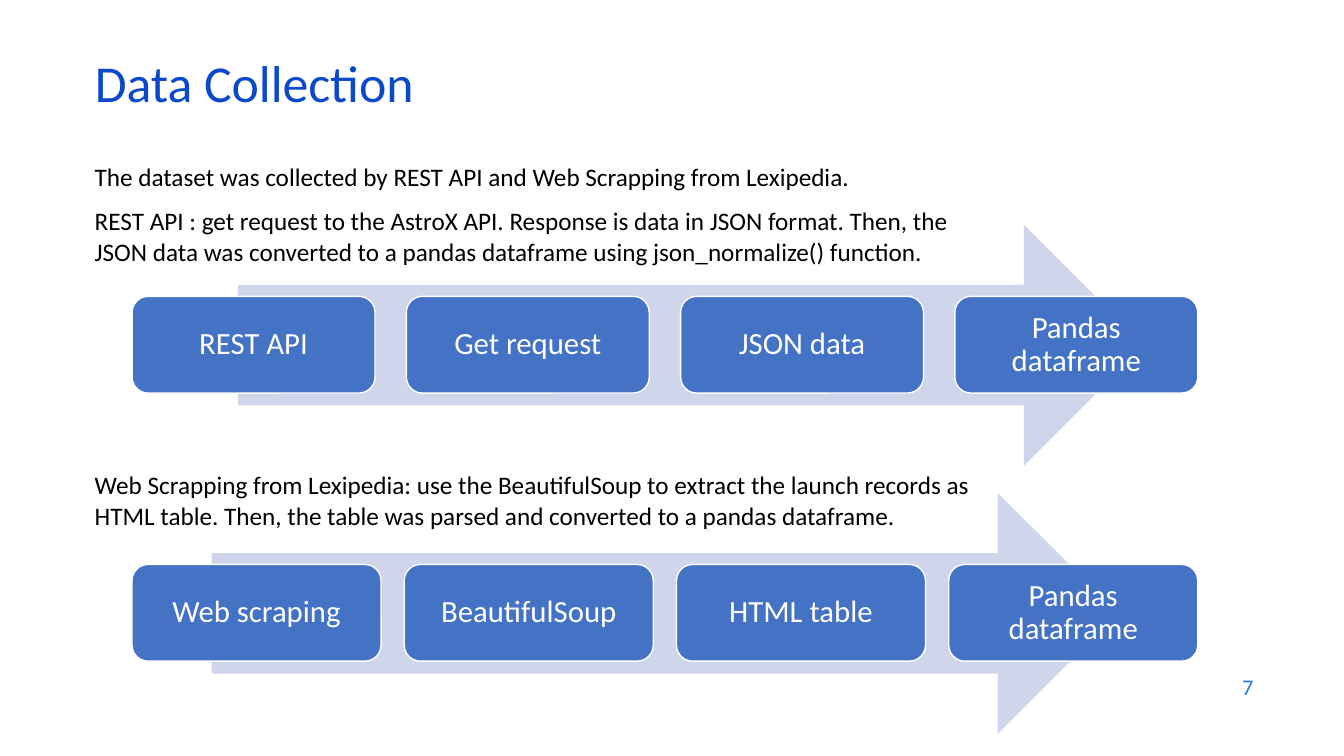
from pptx import Presentation
from pptx.dml.color import RGBColor
from pptx.enum.shapes import MSO_SHAPE
from pptx.enum.text import MSO_ANCHOR, PP_ALIGN
from pptx.util import Inches, Pt


def fill_solid(shape, color):
    shape.shadow.inherit = False
    shape.fill.solid()
    shape.fill.fore_color.rgb = RGBColor.from_string(color)


def add_text(paragraph, text, size, color):
    run = paragraph.add_run()
    run.text = text
    run.font.name = "Calibri"
    run.font.size = Pt(size)
    run.font.color.rgb = RGBColor.from_string(color)


presentation = Presentation()
presentation.slide_width = Inches(13.33)
presentation.slide_height = Inches(7.5)
slide = presentation.slides.add_slide(presentation.slide_layouts[5])

title = slide.shapes.title
title.left, title.top = Inches(0.84), Inches(0.59)
title.width, title.height = Inches(11.5), Inches(0.6)
title.text_frame.vertical_anchor = MSO_ANCHOR.MIDDLE
title_paragraph = title.text_frame.paragraphs[0]
title_paragraph.alignment = PP_ALIGN.LEFT
title_paragraph.line_spacing = 0.7
add_text(title_paragraph, "Data Collection", 37, "0B49CB")

flows = [
    (2.36, 2.23, 2.41, 2.72, ["REST API", "Get request", "JSON data", "Pandas dataframe"]),
    (2.1, 4.89, 2.47, 2.7, ["Web scraping", "BeautifulSoup", "HTML table", "Pandas dataframe"]),
]
for arrow_left, arrow_top, step_width, step_pitch, steps in flows:
    arrow = slide.shapes.add_shape(
        MSO_SHAPE.RIGHT_ARROW, Inches(arrow_left), Inches(arrow_top), Inches(8.99), Inches(2.39)
    )
    fill_solid(arrow, "CFD5EA")
    arrow.line.fill.background()
    for index, label in enumerate(steps):
        step = slide.shapes.add_shape(
            MSO_SHAPE.ROUNDED_RECTANGLE,
            Inches(1.31 + index * step_pitch),
            Inches(arrow_top + 0.71),
            Inches(step_width),
            Inches(0.96),
        )
        fill_solid(step, "4472C4")
        step.line.color.rgb = RGBColor.from_string("FFFFFF")
        step.line.width = Pt(1)
        frame = step.text_frame
        frame.word_wrap = True
        frame.vertical_anchor = MSO_ANCHOR.MIDDLE
        frame.margin_left = frame.margin_right = Inches(0.09)
        frame.margin_top = frame.margin_bottom = Inches(0.09)
        paragraph = frame.paragraphs[0]
        paragraph.alignment = PP_ALIGN.CENTER
        paragraph.line_spacing = 0.9
        add_text(paragraph, label, 22, "FFFFFF")

descriptions = [
    (1.55, 11.5, 0.4, ["The dataset was collected by REST API and Web Scrapping from Lexipedia."]),
    (1.99, 9.01, 0.71, [
        "REST API : get request to the AstroX API. Response is data in JSON format. Then, the "
        "JSON data was converted to a pandas dataframe using json_normalize() function.",
    ]),
    (4.61, 9.58, 0.71, [
        "Web Scrapping from Lexipedia: use the BeautifulSoup to extract the launch records as",
        "HTML table. Then, the table was parsed and converted to a pandas dataframe.",
    ]),
]
for top, width, height, lines in descriptions:
    description = slide.shapes.add_textbox(Inches(0.84), Inches(top), Inches(width), Inches(height))
    frame = description.text_frame
    frame.word_wrap = True
    for index, line in enumerate(lines):
        paragraph = frame.add_paragraph() if index else frame.paragraphs[0]
        add_text(paragraph, line, 18, "000000")

page_number = slide.shapes.add_textbox(Inches(9.53), Inches(6.59), Inches(3), Inches(0.44))
page_number.text_frame.word_wrap = True
page_number.text_frame.vertical_anchor = MSO_ANCHOR.MIDDLE
number_paragraph = page_number.text_frame.paragraphs[0]
number_paragraph.alignment = PP_ALIGN.RIGHT
add_text(number_paragraph, "7", 16, "1C7DDB")

presentation.save("out.pptx")
